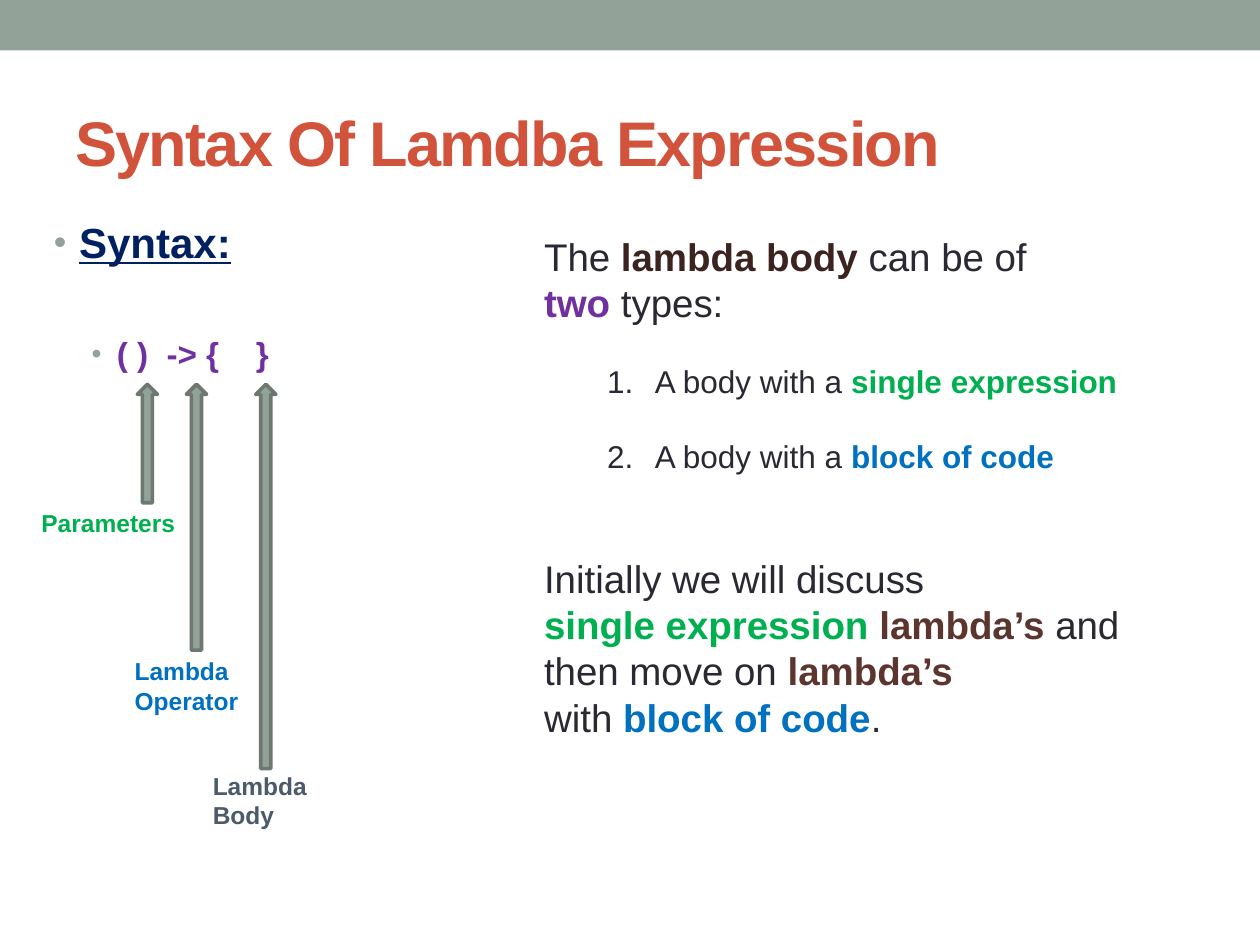
"""Build the slide on the syntax of lambda expressions."""
import pptx
import pptx.dml.color
import pptx.enum.shapes
import pptx.enum.text
import pptx.oxml
import pptx.oxml.ns
import pptx.util

Inches = pptx.util.Inches
Pt = pptx.util.Pt
RGBColor = pptx.dml.color.RGBColor
Shape = pptx.enum.shapes.MSO_SHAPE
Anchor = pptx.enum.text.MSO_ANCHOR

SAGE = RGBColor(0x93, 0xA2, 0x99)
SAGE_DARK = RGBColor(0x6D, 0x78, 0x71)
RUST = RGBColor(0xD2, 0x53, 0x3C)
NAVY = RGBColor(0x00, 0x20, 0x60)
PURPLE = RGBColor(0x70, 0x30, 0xA0)
GREEN = RGBColor(0x00, 0xB0, 0x50)
BLUE = RGBColor(0x00, 0x70, 0xC0)
SLATE = RGBColor(0x4C, 0x5A, 0x6A)
INK = RGBColor(0x29, 0x29, 0x34)
DARK_BROWN = RGBColor(0x3C, 0x23, 0x1F)
BROWN = RGBColor(0x5B, 0x35, 0x2E)

BULLET = (
    f'<a:buClr {{ns}}><a:srgbClr val="{SAGE}"/></a:buClr>',
    '<a:buSzPct {ns} val="85000"/>',
    '<a:buFont {ns} typeface="Arial"/>',
    '<a:buChar {ns} char="\u2022"/>',
)
NUMBER = (
    '<a:buFont {ns} typeface="+mj-lt"/>',
    '<a:buAutoNum {ns} type="arabicPeriod"/>',
)


class SlideBuilder:
    """Hold the style and the current slide."""

    font = "Arial"

    def __init__(self, prs):
        self.slide = prs.slides.add_slide(prs.slide_layouts[6])

    def shape(self, kind, left, top, width, height, fill, line=None):
        sp = self.slide.shapes.add_shape(
            kind, Inches(left), Inches(top), Inches(width), Inches(height))
        sp.shadow.inherit = False
        sp.fill.solid()
        sp.fill.fore_color.rgb = fill
        if line is None:
            sp.line.fill.background()
        else:
            sp.line.color.rgb = line
            sp.line.width = Pt(2.08)
        return sp

    def text_box(self, left, top, width, height, anchor=Anchor.TOP):
        sp = self.slide.shapes.add_textbox(
            Inches(left), Inches(top), Inches(width), Inches(height))
        tf = sp.text_frame
        tf.word_wrap = True
        tf.vertical_anchor = anchor
        return tf

    def paragraph(self, tf, runs, size, before=0, level=0, indent=None, marks=()):
        p = tf.paragraphs[0] if not tf.paragraphs[0].runs else tf.add_paragraph()
        p.level = level
        p.font.name = self.font
        p.font.size = Pt(size)
        p.space_before = Pt(before)
        if indent:
            pPr = p._p.get_or_add_pPr()
            pPr.set("marL", str(Inches(indent[0])))
            pPr.set("indent", str(Inches(indent[1])))
            for mark in marks:
                xml = mark.format(ns=pptx.oxml.ns.nsdecls("a"))
                pPr.insert_element_before(
                    pptx.oxml.parse_xml(xml), "a:tabLst", "a:defRPr", "a:extLst")
        for text, color, bold in runs:
            r = p.add_run()
            r.text = text
            r.font.name = self.font
            r.font.size = Pt(size)
            r.font.bold = bold
            r.font.color.rgb = color
        return p


prs = pptx.Presentation()
prs.slide_width = Inches(10)
prs.slide_height = Inches(7.5)
s = SlideBuilder(prs)

s.shape(Shape.RECTANGLE, 0, 0, 10, 0.4, SAGE)

title = s.text_box(0.5, 0.58, 9, 1.08, Anchor.MIDDLE)
p = s.paragraph(title, [("Syntax Of Lamdba Expression", RUST, True)], 36)
p.runs[0]._r.get_or_add_rPr().set("spc", "-100")

syntax = s.text_box(0.33, 1.67, 3.7, 1.4)
p = s.paragraph(syntax, [("Syntax:", NAVY, True)], 24, 3,
                indent=(0.2, -0.2), marks=BULLET)
p.runs[0].font.underline = True
s.paragraph(syntax, [("( )  -> {    }", PURPLE, True)], 19, 38, level=1,
            indent=(0.5, -0.2), marks=BULLET)

PARTS = [
    (1.09, 0.94, (0.23, 3.98, 1.38, 0.34), ["Parameters"], GREEN),
    (1.48, 2.11, (0.97, 5.16, 1.13, 0.57), ["Lambda ", "Operator"], BLUE),
    (2.03, 3.05, (1.59, 6.07, 1.08, 0.57), ["Lambda ", "Body"], SLATE),
]
for left, height, label_box, lines, color in PARTS:
    s.shape(Shape.UP_ARROW, left, 3.05, 0.16, height, SAGE, SAGE_DARK)
    label = s.text_box(*label_box)
    for line in lines:
        s.paragraph(label, [(line, color, True)], 14)

body = s.text_box(4.22, 1.8, 5.13, 4.21)
s.paragraph(body, [("The ", INK, False), ("lambda body ", DARK_BROWN, True),
                   ("can be of ", INK, False)], 22)
s.paragraph(body, [("two", PURPLE, True), (" types:", INK, False)], 22)
for kind, color in [("single expression", GREEN), ("block of code", BLUE)]:
    s.paragraph(body, [("A body with a ", INK, False), (kind, color, True)], 18,
                21, level=1, indent=(0.88, -0.38), marks=NUMBER)

CLOSING = [
    [("Initially we will discuss", INK, False)],
    [("single expression ", GREEN, True), ("lambda\u2019s ", BROWN, True),
     ("and ", INK, False)],
    [("then move on ", INK, False), ("lambda\u2019s ", BROWN, True)],
    [("with ", INK, False), ("block of code", BLUE, True), (".", INK, False)],
]
for i, runs in enumerate(CLOSING):
    s.paragraph(body, runs, 22, before=0 if i else 46)

prs.save("out.pptx")
